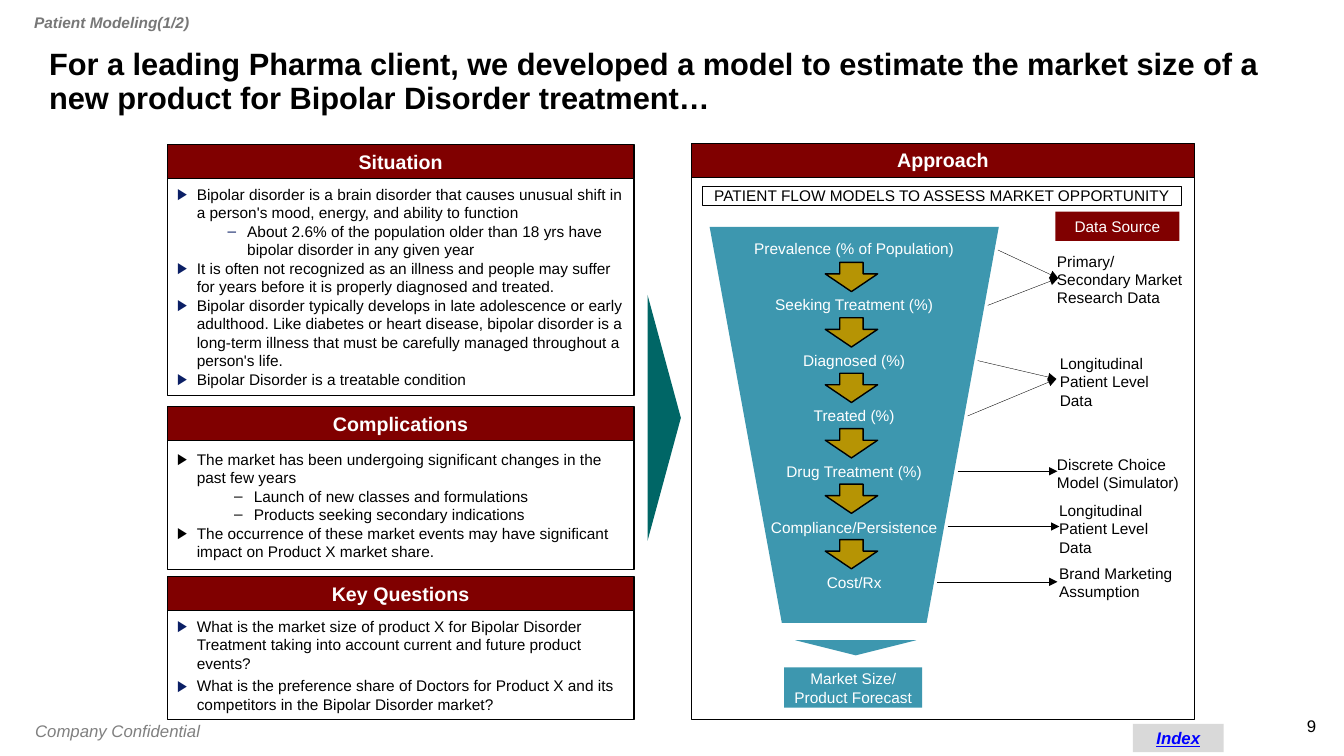
from lxml import etree
from pptx import Presentation
from pptx.dml.color import RGBColor
from pptx.enum import shapes as kinds, text as txt
from pptx.oxml import ns
from pptx.util import Pt

BLACK = RGBColor(0, 0, 0)
WHITE = RGBColor(0xFF, 0xFF, 0xFF)
MAROON = RGBColor(0x80, 0, 0)
TEAL = RGBColor(0x3D, 0x97, 0xAF)
GREEN = RGBColor(0, 0x66, 0x66)
GOLD = RGBColor(0xB6, 0x94, 0x04)
NAVY = RGBColor(0x0B, 0x1F, 0x65)
GRAY = RGBColor(0x80, 0x80, 0x80)
DIM = RGBColor(0x77, 0x77, 0x77)
PALE = RGBColor(0xD9, 0xD9, 0xD9)
LINK = RGBColor(0, 0, 0xFF)
KIND = kinds.MSO_SHAPE
LEFT, MID, RIGHT = txt.PP_ALIGN.LEFT, txt.PP_ALIGN.CENTER, txt.PP_ALIGN.RIGHT
STEP = 39.6  # distance between stages of the patient funnel

FACTS = [
    (0, "Bipolar disorder is a brain disorder that causes unusual shift in a person's mood, energy, and ability to function"),
    (1, "About 2.6% of the population older than 18 yrs have bipolar disorder in any given year"),
    (0, "It is often not recognized as an illness and people may suffer for years before it is properly diagnosed and treated."),
    (0, "Bipolar disorder typically develops in late adolescence or early adulthood. Like diabetes or heart disease, "
        "bipolar disorder is a long-term illness that must be carefully managed throughout a person's life."),
    (0, "Bipolar Disorder is a treatable condition"),
]
ISSUES = [
    (0, "The market has been undergoing significant changes in the past few years"),
    (1, "Launch of new classes and formulations"),
    (1, "Products seeking secondary indications"),
    (0, "The occurrence of these market events may have significant impact on Product X market share."),
]
ASKS = [
    (0, "What is the market size of product X for Bipolar Disorder Treatment taking into account current and future product events?"),
    (0, "What is the preference share of Doctors for Product X and its competitors in the Bipolar Disorder market?"),
]
STAGES = ["Prevalence (% of Population)", "Seeking Treatment (%)", "Diagnosed (%)", "Treated (%)",
          "Drug Treatment (%)", "Compliance/Persistence", "Cost/Rx"]
# text, left, top, width, height, arrow tip x, arrow tip y, stages it feeds
SOURCES = [
    ("Primary/ Secondary Market Research Data", 254, 74, 104, 47, 262, 96.5, (0, 1)),
    ("Longitudinal Patient Level Data", 256, 147, 101, 47, 260.7, 168.5, (2, 3)),
    ("Discrete Choice Model (Simulator)", 254, 219, 104, 34, 261.4, 234.4, (4,)),
    ("Longitudinal Patient Level Data", 255.5, 252, 101.5, 47, 262.8, 273.9, (5,)),
    ("Brand Marketing Assumption", 255.5, 297, 99, 34, 261.4, 313.4, (6,)),
]


def mark(para, level, tint, deep):
    """Give a paragraph its bullet and hanging indent."""
    props = para._p.get_or_add_pPr()
    props.set("marL", str(Pt(deep if level else 14)))
    props.set("indent", str(-Pt(14)))
    if tint is not None:
        color = etree.SubElement(props, ns.qn("a:buClr"))
        etree.SubElement(color, ns.qn("a:srgbClr")).set("val", str(tint))
    etree.SubElement(props, ns.qn("a:buFont")).set("typeface", "Arial")
    etree.SubElement(props, ns.qn("a:buChar")).set("char", "–" if level else "▶")


def write(shape, lines, size=11, color=BLACK, bold=False, italic=False, under=False, align=MID,
          middle=True, wrap=True, gap=0, pitch=None, inset=(7.2, 3.6, 7.2, 3.6), tint=None, deep=50):
    """Fill a shape with paragraphs; (level, text) pairs become bullets."""
    frame = shape.text_frame
    frame.word_wrap = wrap
    frame.vertical_anchor = txt.MSO_ANCHOR.MIDDLE if middle else txt.MSO_ANCHOR.TOP
    frame.margin_left, frame.margin_top, frame.margin_right, frame.margin_bottom = map(Pt, inset)
    for i, line in enumerate(lines):
        para = frame.add_paragraph() if i else frame.paragraphs[0]
        para.alignment = align
        if isinstance(line, tuple):
            mark(para, line[0], tint, deep)
            line = line[1]
        if i and gap:
            para.space_before = Pt(gap)
        if pitch:
            para.line_spacing = pitch
        run = para.add_run()
        run.text = line
        font = run.font
        font.name, font.size, font.bold, font.italic = "Arial", Pt(size), bold, italic
        font.underline = under
        font.color.rgb = color


def paint(item, fill, edge):
    item.shadow.inherit = False
    item.fill.solid()
    item.fill.fore_color.rgb = fill
    if edge:
        item.line.color.rgb = BLACK
        item.line.width = Pt(edge)
    else:
        item.line.fill.background()


def shape(slide, kind, x, y, w, h, fill, edge=0):
    item = slide.shapes.add_shape(kind, Pt(x), Pt(y), Pt(w), Pt(h))
    paint(item, fill, edge)
    return item


def label(slide, x, y, w, h, line, **style):
    write(slide.shapes.add_textbox(Pt(x), Pt(y), Pt(w), Pt(h)), [line], **{"align": LEFT, **style})


def arrow(slide, x, y, tip, end):
    link = slide.shapes.add_connector(kinds.MSO_CONNECTOR.STRAIGHT, Pt(x), Pt(y), Pt(tip), Pt(end))
    link.line.color.rgb = BLACK
    link.line.width = Pt(0.25)
    etree.SubElement(link.line._get_or_add_ln(), ns.qn("a:tailEnd")).set("type", "triangle")
    etree.SubElement(link._element.spPr, ns.qn("a:effectLst"))


def panel(slide, x, y, w, h, title, items=(), **style):
    """Draw a maroon heading over a white framed body."""
    head = 24.3
    body = shape(slide, KIND.RECTANGLE, x, y + head, w, h - head, WHITE, 0.75)
    write(body, items, align=LEFT, **style)
    write(shape(slide, KIND.RECTANGLE, x, y, w, head, MAROON, 0.75), [title], size=14, color=WHITE, bold=True)


def funnel(slide, x, y, w, h):
    """Draw the patient stages, the arrows between them and the forecast."""
    pen = slide.shapes.build_freeform(Pt(x), Pt(y), scale=1)
    slope = 51.6
    pen.add_line_segments([(Pt(x + slope), Pt(y + h)), (Pt(x + w - slope), Pt(y + h)), (Pt(x + w), Pt(y))])
    cone = pen.convert_to_shape()
    paint(cone, TEAL, 0)
    write(cone, STAGES, color=WHITE, wrap=False, gap=26.6, inset=(7.2, 3.6, 7.2, 16.8))
    for i in range(len(STAGES) - 1):
        down = shape(slide, KIND.DOWN_ARROW, x + 82.6, y + 25.4 + i * STEP, 37.4, 20.9, GOLD, 1)
        down.adjustments[0], down.adjustments[1] = 0.447, 0.605
    shape(slide, KIND.FLOWCHART_MERGE, x + 61.2, y + h + 12.3, 86.4, 10.8, TEAL)
    result = shape(slide, KIND.RECTANGLE, x + 53.3, y + h + 31.8, 98.6, 28.8, TEAL)
    write(result, ["Market Size/", "Product Forecast"], color=WHITE, wrap=False)


def sources(slide, x, y):
    """Place the data sources and join them to the funnel stages."""
    tag = shape(slide, KIND.RECTANGLE, x + 260, y + 49, 88.6, 20.9, MAROON)
    write(tag, ["Data Source"], color=WHITE)
    for line, left, top, w, h, tip, end, stages in SOURCES:
        label(slide, x + left, y + top, w, h, line, middle=False)
        for i in stages:
            start = y + 76.4 + 39.5 * i
            arrow(slide, x + 218.9 - 7.2 * i, start, x + tip, y + end if len(stages) > 1 else start)


def approach(slide, x, y, w, h):
    panel(slide, x, y, w, h, "Approach")
    strip = shape(slide, KIND.RECTANGLE, x + 8, y + 30.5, 342, 13.7, WHITE, 0.25)
    write(strip, ["PATIENT FLOW MODELS TO ASSESS MARKET OPPORTUNITY"], wrap=False)
    funnel(slide, x + 13, y + 59.8, 206.6, 283)
    sources(slide, x, y)


def context(slide, x, y, w):
    """Stack the three panels on the left."""
    panel(slide, x, y, w, 179.2, "Situation", FACTS, tint=NAVY)
    panel(slide, x, y + 187.4, w, 116.5, "Complications", ISSUES, deep=54.7)
    panel(slide, x, y + 308.8, w, 102.4, "Key Questions", ASKS, tint=NAVY, gap=3)


def edges(slide, w):
    """Place the title, the section name and the footer."""
    label(slide, 17.3, 5.8, 126, 21, "Patient Modeling(1/2)", color=DIM, bold=True, italic=True,
          middle=False, wrap=False)
    label(slide, 28, 26, 897, 66, "For a leading Pharma client, we developed a model to estimate the market size of a "
          "new product for Bipolar Disorder treatment…", size=22, bold=True, pitch=0.9)
    label(slide, 18, 511.2, 177, 21.6, "Company Confidential", size=12, color=GRAY, italic=True, middle=False)
    label(slide, w - 35, 511.2, 15.2, 14.4, "9", size=12, align=RIGHT, middle=False, inset=(0, 0, 0, 0))
    index = shape(slide, KIND.RECTANGLE, 809.3, 517, 64.8, 20.2, PALE)
    write(index, ["Index"], size=12, color=LINK, bold=True, italic=True, under=True)


def main():
    deck = Presentation()
    deck.slide_width, deck.slide_height = Pt(960), Pt(540)
    slide = deck.slides.add_slide(deck.slide_layouts[6])
    context(slide, 119.5, 103, 333.4)
    wedge = shape(slide, KIND.ISOSCELES_TRIANGLE, 386.6, 286.6, 175.7, 23.8, GREEN)
    wedge.rotation = 90
    approach(slide, 493.9, 102.2, 359.3, 411.9)
    edges(slide, 960)
    deck.save("out.pptx")


if __name__ == "__main__":
    main()
